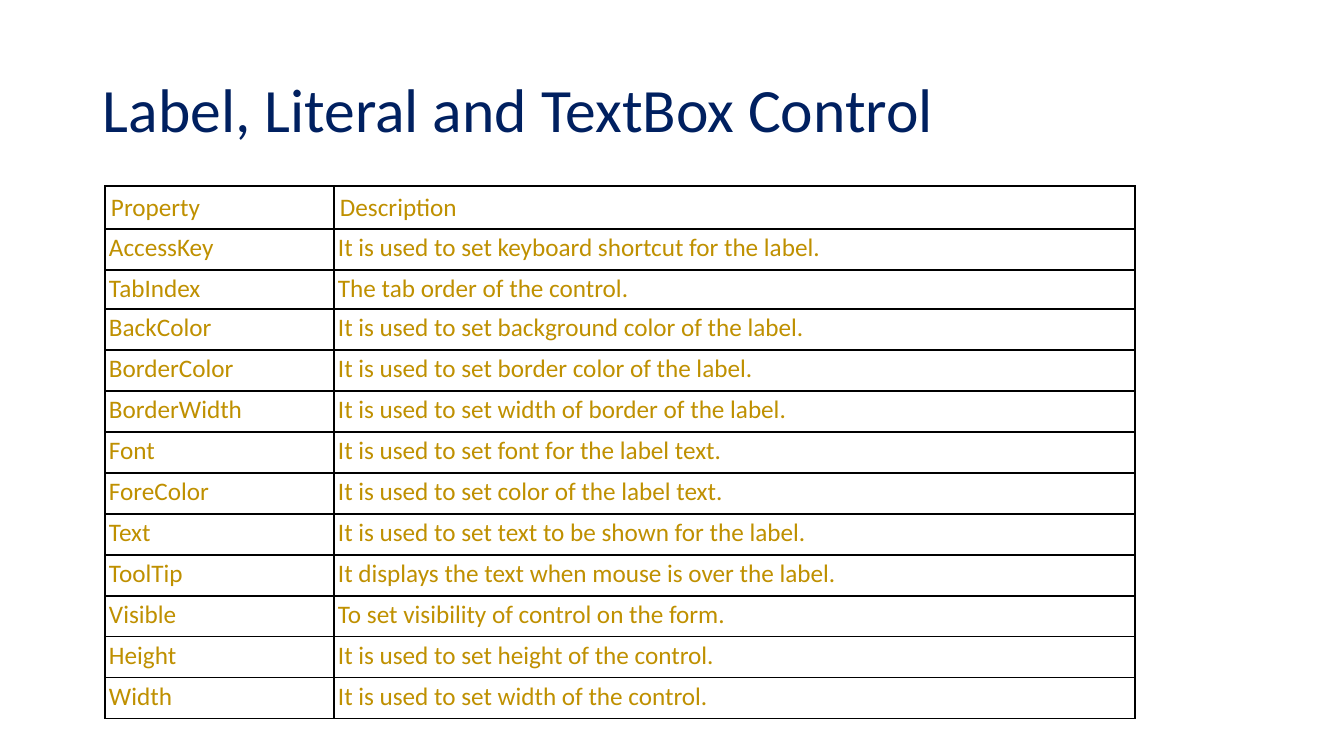
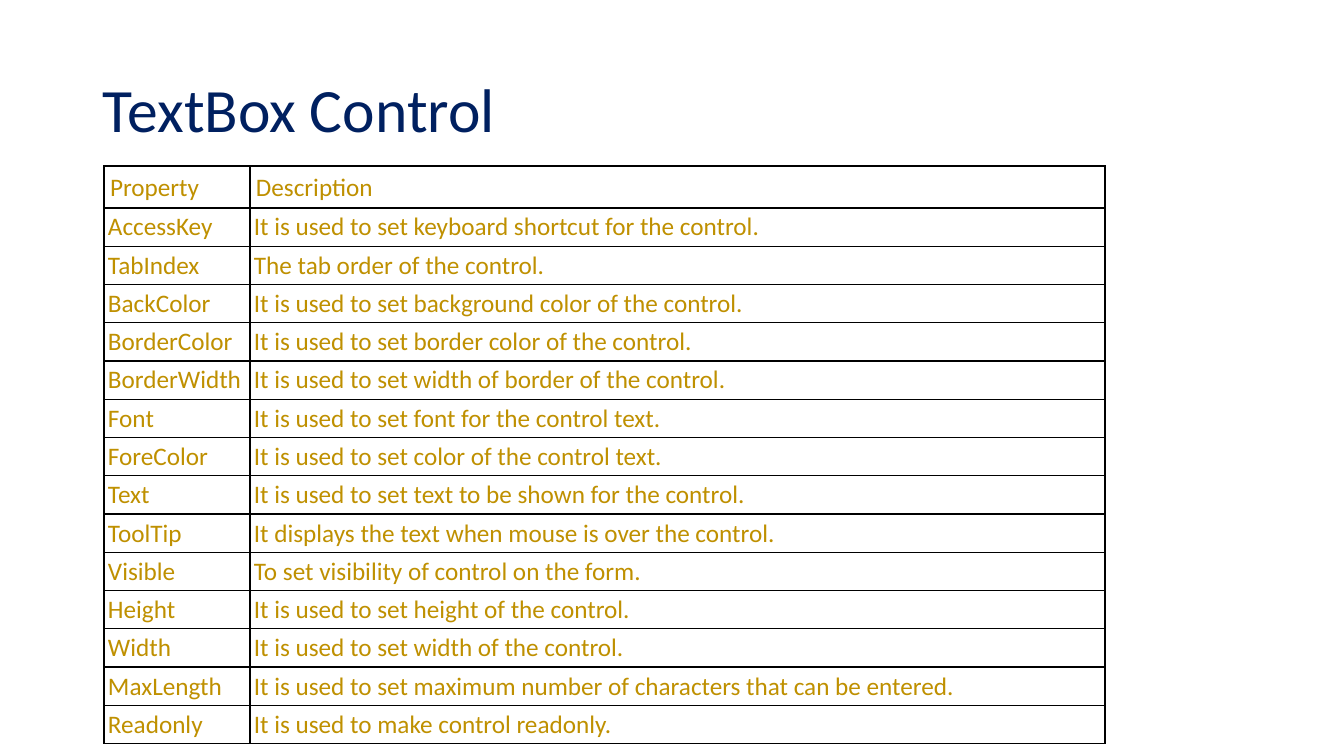
from pptx import Presentation
from pptx.dml.color import RGBColor
from pptx.enum.text import MSO_ANCHOR, PP_ALIGN
from pptx.oxml import parse_xml
from pptx.oxml.ns import nsdecls
from pptx.util import Emu, Pt

FONT = "Calibri"
NAVY = RGBColor(0x00, 0x20, 0x60)
GOLD = RGBColor(0xBF, 0x90, 0x00)
BLACK = RGBColor(0x00, 0x00, 0x00)

SLIDE_SIZE = (1344, 756)
TITLE_BOX = (93, 40, 1159, 146)
# Cell insets: left, top, right, bottom
HEADER_INSETS = (6, 6, 6, 5)
BODY_INSETS = (4, 4, 4, 3)

HEADER = ("Property", "Description")
SHARED_ROWS = [
    ("AccessKey", "It is used to set keyboard shortcut for the {target}."),
    ("TabIndex", "The tab order of the control."),
    ("BackColor", "It is used to set background color of the {target}."),
    ("BorderColor", "It is used to set border color of the {target}."),
    ("BorderWidth", "It is used to set width of border of the {target}."),
    ("Font", "It is used to set font for the {target} text."),
    ("ForeColor", "It is used to set color of the {target} text."),
    ("Text", "It is used to set text to be shown for the {target}."),
    ("ToolTip", "It displays the text when mouse is over the {target}."),
    ("Visible", "To set visibility of control on the form."),
    ("Height", "It is used to set height of the control."),
    ("Width", "It is used to set width of the control."),
]
TEXTBOX_ROWS = [
    ("MaxLength", "It is used to set maximum number of characters that can be entered."),
    ("Readonly", "It is used to make control readonly."),
]

# short_rows: heights of body rows that differ from the even share
SLIDES = [
    {"title": "Label, Literal and TextBox Control", "target": "label",
     "extra_rows": [], "origin": (105, 186), "columns": (229, 801),
     "header_height": 43, "body_height": 490, "short_rows": {"TabIndex": 39}},
    {"title": "TextBox Control", "target": "control",
     "extra_rows": TEXTBOX_ROWS, "origin": (104, 166), "columns": (146, 855),
     "header_height": 42, "body_height": 536, "short_rows": {}},
]


def px(length):
    return Emu(round(length * 914400 / 100.8))


def add_text(para, text, size, color):
    span = para.add_run()
    span.text = text
    span.font.name = FONT
    span.font.size = Pt(size)
    span.font.color.rgb = color


def add_title(page, text):
    box = page.shapes.add_textbox(*map(px, TITLE_BOX))
    frame = box.text_frame
    frame.word_wrap = True
    frame.vertical_anchor = MSO_ANCHOR.MIDDLE
    para = frame.paragraphs[0]
    para.line_spacing = 0.9
    add_text(para, text, 44, NAVY)


def add_borders(cell):
    properties = cell._tc.get_or_add_tcPr()
    for position, side in enumerate(("lnL", "lnR", "lnT", "lnB")):
        properties.insert(position, parse_xml(
            f'<a:{side} {nsdecls("a")} w="{Pt(1)}"><a:solidFill>'
            f'<a:srgbClr val="{BLACK}"/></a:solidFill></a:{side}>'))


def fill_cell(cell, text, insets, alignment):
    cell.fill.background()
    (cell.margin_left, cell.margin_top,
     cell.margin_right, cell.margin_bottom) = map(px, insets)
    para = cell.text_frame.paragraphs[0]
    para.alignment = alignment
    add_text(para, text, 18, GOLD)
    add_borders(cell)


def add_property_table(page, content):
    body = [(name, description.format(target=content["target"]))
            for name, description in SHARED_ROWS + content["extra_rows"]]
    short = content["short_rows"]
    even = (content["body_height"] - sum(short.values())) / (len(body) - len(short))
    heights = [content["header_height"]] + [short.get(name, even) for name, _ in body]
    widths = content["columns"]

    table = page.shapes.add_table(
        len(heights), len(widths), *map(px, content["origin"]),
        px(sum(widths)), px(sum(heights))).table
    table.first_row = False
    table.horz_banding = False
    for column, width in zip(table.columns, widths):
        column.width = px(width)
    for index, (row, height, texts) in enumerate(zip(table.rows, heights, [HEADER] + body)):
        row.height = px(height)
        insets = BODY_INSETS if index else HEADER_INSETS
        alignment = PP_ALIGN.JUSTIFY if index else PP_ALIGN.LEFT
        for cell, text in zip(row.cells, texts):
            fill_cell(cell, text, insets, alignment)


def main():
    deck = Presentation()
    deck.slide_width, deck.slide_height = map(px, SLIDE_SIZE)
    for content in SLIDES:
        page = deck.slides.add_slide(deck.slide_layouts[6])
        add_title(page, content["title"])
        add_property_table(page, content)
    deck.save("out.pptx")


if __name__ == "__main__":
    main()
